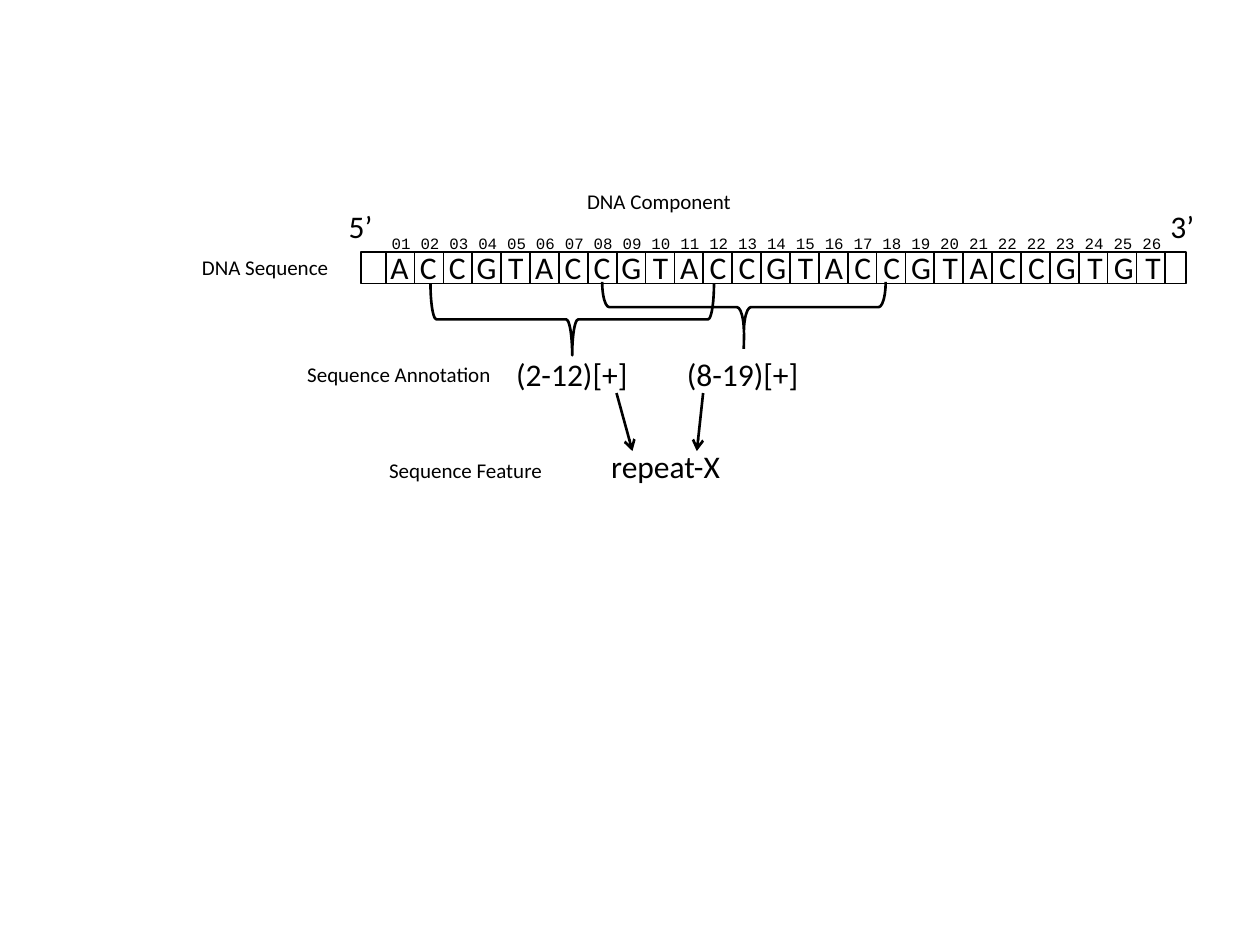
from pptx import Presentation
from pptx.dml.color import RGBColor
from pptx.enum import shapes, text
from pptx.oxml import parse_xml
from pptx.oxml.ns import nsdecls, qn
from pptx.util import Pt

BLACK = RGBColor(0, 0, 0)
SANS = "Calibri"
MONO = "Courier New"


def write(frame, words, size=18, font=SANS, color=BLACK):
    frame.word_wrap = False
    frame.auto_size = text.MSO_AUTO_SIZE.SHAPE_TO_FIT_TEXT
    run = frame.paragraphs[0].add_run()
    run.text = words
    run.font.size = Pt(size)
    run.font.name = font
    run.font.color.rgb = color


class Page:
    def __init__(self, slide, ink=BLACK):
        self.items = slide.shapes
        self.ink = ink

    def group(self):
        return self.items.add_group_shape().shapes

    def label(self, words, x, y, w, h, host=None, **form):
        items = self.items if host is None else host
        box = items.add_textbox(Pt(x), Pt(y), Pt(w), Pt(h))
        write(box.text_frame, words, color=self.ink, **form)

    def brace(self, x, y, w, h, bends=()):
        self.shape(shapes.MSO_SHAPE.LEFT_BRACE, x, y, w, h,
                   weight=1.5, turn=270, bends=bends)

    def shape(self, kind, x, y, w, h, weight=1, turn=0, bends=()):
        item = self.items.add_shape(kind, Pt(x), Pt(y), Pt(w), Pt(h))
        item.shadow.inherit = False
        item.fill.background()
        item.line.color.rgb = self.ink
        item.line.width = Pt(weight)
        item.rotation = turn
        for i, bend in enumerate(bends):
            item.adjustments[i] = bend

    def line(self, x1, y1, x2, y2, weight=1, arrow=False):
        item = self.items.add_connector(
            shapes.MSO_CONNECTOR.STRAIGHT, Pt(x1), Pt(y1), Pt(x2), Pt(y2))
        item.line.color.rgb = self.ink
        item.line.width = Pt(weight)
        props = item._element.spPr
        if arrow:
            props.find(qn("a:ln")).append(
                parse_xml(f'<a:tailEnd {nsdecls("a")} type="arrow"/>'))
        props.append(parse_xml(f'<a:effectLst {nsdecls("a")}/>'))


deck = Presentation()
deck.slide_width, deck.slide_height = Pt(720), Pt(540)
page = Page(deck.slides.add_slide(deck.slide_layouts[6]))

TOP, BASE = 144, 162
STEP = 16.5
BASES = "ACCGT" * 5 + "GT"
WIDTHS = {"A": 25.2, "C": 24.5, "G": 25.9, "T": 23}
MARKS = [*range(1, 23), *range(22, 27)]

page.shape(shapes.MSO_SHAPE.RECTANGLE, 206.2, TOP, 471.6, BASE - TOP)
for words, x in (("5’", 192.2), ("3’", 661.7)):
    page.label(words, x, 115, 28.1, 29.1)
for i in range(len(BASES) + 1):
    x = 220.4 + i * STEP
    page.line(x, TOP, x, BASE)

strand = page.group()
for i, base in enumerate(BASES):
    wide = WIDTHS[base]
    page.label(base, 228.6 + i * 16.55 - wide / 2, 138.2, wide, 29.1,
               host=strand)

page.brace(306.5, 101.5, 41, 162)
for i, mark in enumerate(MARKS):
    page.label(f"{mark:02}", 216.7 + i * STEP, 130, 25.2, 18.2,
               size=9, font=MONO)

for words, x, y, w, h, size in (
    ("DNA Sequence", 108.3, 141.8, 87.8, 21.8, 12),
    ("Sequence Annotation", 168.5, 203, 120.2, 21.8, 12),
    ("(2-12)[+]", 287.8, 199.4, 79.2, 29.1, 18),
    ("Sequence Feature", 215.3, 257.8, 103, 21.8, 12),
    ("repeat-X", 342.2, 252, 77.8, 29.1, 18),
    ("(8-19)[+]", 385.4, 199.4, 79.2, 29.1, 18),
    ("DNA Component", 328.4, 104, 97.9, 21.8, 12),
):
    page.label(words, x, y, w, h, size=size)

page.brace(410.7, 94.5, 28.8, 162, bends=(0.14, 0.5))
for x1, y1, x2, y2, arrow in (
    (352.3, 224.6, 361.4, 257.8, True),
    (401.8, 224.6, 398.2, 257.8, True),
    (425.2, 190.1, 425, 199.4, False),
):
    page.line(x1, y1, x2, y2, weight=1.5, arrow=arrow)

deck.save("out.pptx")
